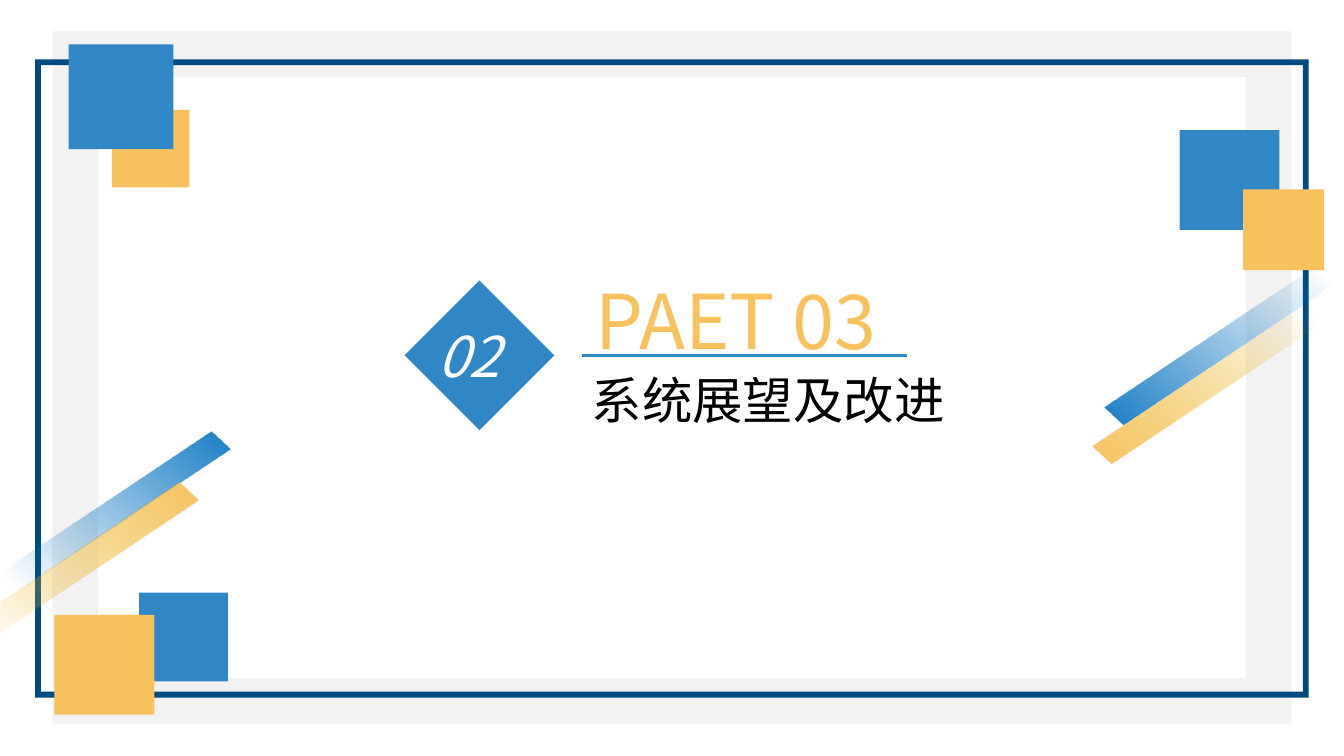
from lxml import etree
from pptx import Presentation
from pptx.dml.color import RGBColor
from pptx.enum.shapes import MSO_CONNECTOR, MSO_SHAPE
from pptx.enum.text import MSO_AUTO_SIZE
from pptx.oxml.ns import qn
from pptx.util import Inches, Pt

BLUE = RGBColor(0x31, 0x87, 0xC6)
NAVY = RGBColor(0x00, 0x4A, 0x82)
YELLOW = RGBColor(0xF7, 0xC1, 0x5D)
GRAY = RGBColor(0xF2, 0xF2, 0xF2)
BLACK = RGBColor(0x00, 0x00, 0x00)
WHITE = RGBColor(0xFF, 0xFF, 0xFF)
STRIPE_BLUE = RGBColor(0x00, 0x70, 0xC0)
STRIPE_GOLD = RGBColor(0xE9, 0xAC, 0x01)
FONT = "Noto Sans CJK SC"


def add_shape(slide, kind, box, color=None):
    shape = slide.shapes.add_shape(kind, *map(Inches, box))
    shape.shadow.inherit = False
    shape.line.fill.background()
    if color is not None:
        shape.fill.solid()
        shape.fill.fore_color.rgb = color
    return shape


def add_label(slide, box, text, color, **formats):
    label = slide.shapes.add_textbox(*map(Inches, box))
    frame = label.text_frame
    frame.word_wrap = False
    frame.auto_size = MSO_AUTO_SIZE.SHAPE_TO_FIT_TEXT
    run = frame.paragraphs[0].add_run()
    run.text = text
    run.font.color.rgb = color
    for name, value in {"name": FONT, **formats}.items():
        setattr(run.font, name, value)
    east_asian = etree.SubElement(run.font._element, qn("a:ea"))
    east_asian.set("typeface", FONT)


def add_frames(slide, left, top):
    """Place the wide gray frame and the thin navy frame across it."""
    for box, thickness, color in (
        ((left, top, 12.29, 6.87), 0.066, GRAY),
        ((left - 0.17, top + 0.28, 12.63, 6.33), 0.009, NAVY),
    ):
        frame = add_shape(slide, MSO_SHAPE.FRAME, box, color)
        frame.adjustments[0] = thickness


def add_square_pair(slide, left, top, *squares):
    """Place squares, given as offset x, offset y, side and color."""
    for x, y, side, color in squares:
        add_shape(slide, MSO_SHAPE.RECTANGLE, (left + x, top + y, side, side), color)


def add_number_diamond(slide, left, top):
    diamond = add_shape(slide, MSO_SHAPE.RECTANGLE, (left, top, 1.05, 1.05), BLUE)
    diamond.rotation = 45
    add_label(slide, (left + 0.01, top + 0.14, 0.86, 0.77), "02", WHITE,
              size=Pt(40), italic=True)


def add_heading(slide, left, top):
    add_label(slide, (left, top + 0.94, 3.7, 0.71), "系统展望及改进", BLACK, size=Pt(36))
    add_label(slide, (left + 0.04, top, 3.12, 1.01), "PAET 03", YELLOW, size=Pt(54))
    rule_y = top + 0.86
    rule = slide.shapes.add_connector(
        MSO_CONNECTOR.STRAIGHT, *map(Inches, (left, rule_y, left + 3.23, rule_y)))
    rule.line.color.rgb = BLUE
    rule.line.width = Pt(2)
    etree.SubElement(rule._element.spPr, qn("a:effectLst"))


def add_stripe_pair(slide, left, top, shift_x, shift_y, rotation):
    """Place a blue and a yellow slanted stripe that fade out at one end."""
    for x, y, start, end in (
        (left, top, STRIPE_BLUE, STRIPE_BLUE),
        (left + shift_x, top + shift_y, YELLOW, STRIPE_GOLD),
    ):
        stripe = add_shape(slide, MSO_SHAPE.DIAGONAL_STRIPE, (x, y, 3.4, 0.81))
        stripe.adjustments[0] = 0.678
        stripe.rotation = rotation
        stripe._element.spPr.find(qn("a:xfrm")).set("flipH", "1")
        stripe.fill.gradient()
        stripe.fill.gradient_angle = 0
        stops = stripe.fill.gradient_stops
        for stop, position, color in zip(stops, (0, 0.68), (start, end)):
            stop.position = position
            stop.color.rgb = color
        faded = stripe._element.spPr.findall(".//" + qn("a:srgbClr"))[-1]
        etree.SubElement(faded, qn("a:alpha")).set("val", "0")


def main():
    presentation = Presentation()
    presentation.slide_width = Inches(13.33)
    presentation.slide_height = Inches(7.5)
    slide = presentation.slides.add_slide(presentation.slide_layouts[6])
    add_frames(slide, 0.52, 0.31)
    add_square_pair(slide, 0.68, 0.44, (0.43, 0.65, 0.77, YELLOW), (0, 0, 1.04, BLUE))
    add_square_pair(slide, 0.54, 5.88, (0.84, 0, 0.88, BLUE), (0, 0.22, 0.99, YELLOW))
    add_square_pair(slide, 11.7, 1.29, (0, 0, 0.99, BLUE), (0.63, 0.59, 0.8, YELLOW))
    add_number_diamond(slide, 4.23, 3)
    add_heading(slide, 5.77, 2.67)
    add_stripe_pair(slide, -0.87, 5.02, -0.32, 0.51, 312.9)
    add_stripe_pair(slide, 10.71, 2.66, -0.12, 0.39, 132.9)
    presentation.save("out.pptx")


if __name__ == "__main__":
    main()
